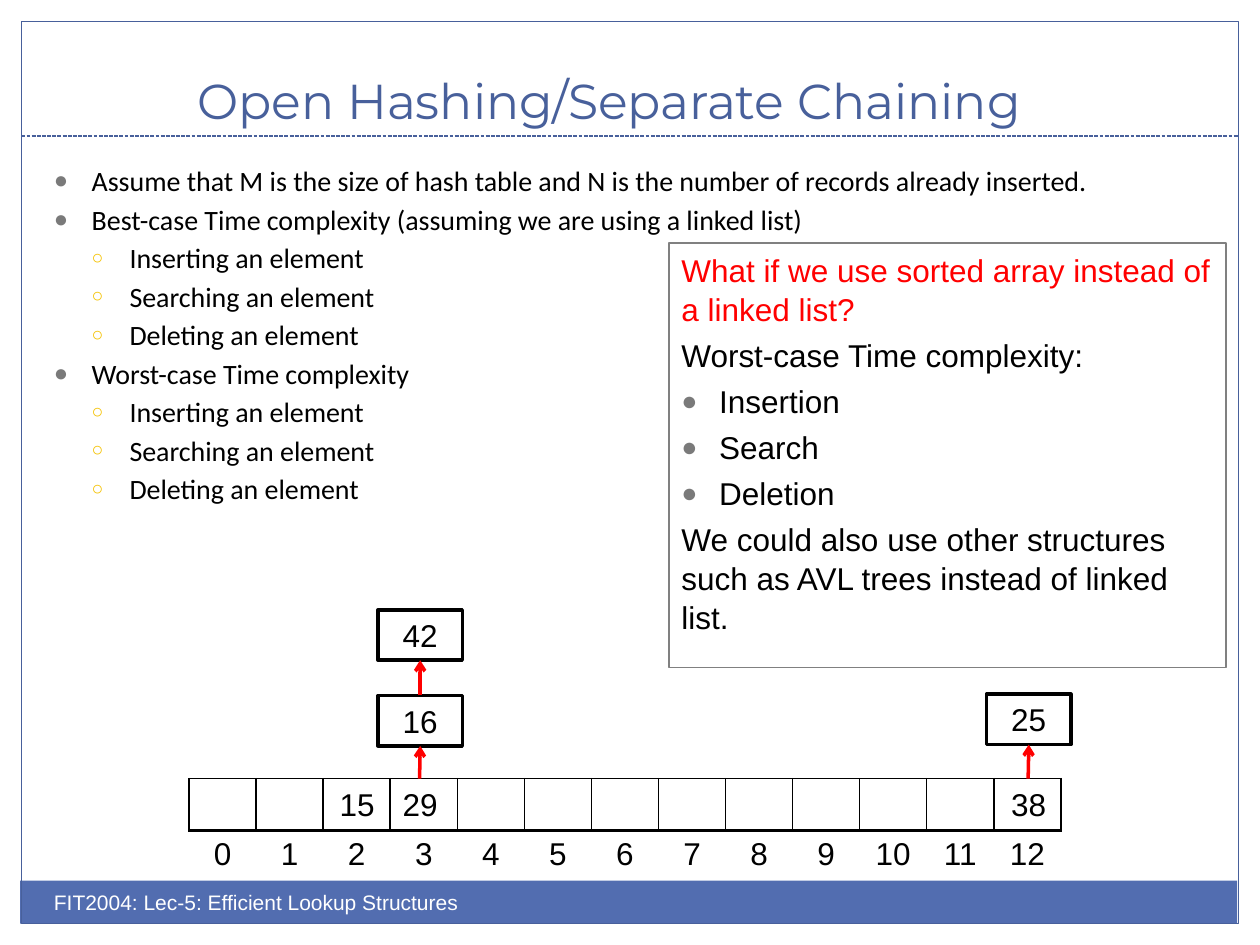
from dataclasses import dataclass
from typing import Any, NamedTuple, Optional

import pptx
import pptx.dml.color
import pptx.enum.dml
import pptx.enum.shapes
import pptx.enum.text
import pptx.oxml
import pptx.oxml.ns
import pptx.util
from lxml import etree

ALIGN = pptx.enum.text.PP_ALIGN
ANCHOR = pptx.enum.text.MSO_ANCHOR
RECTANGLE = pptx.enum.shapes.MSO_SHAPE.RECTANGLE
EMU_PER_PX = 9144


@dataclass(frozen=True)
class Theme:
    accent: str = "48609B"
    footer: str = "526DB0"
    ink: str = "000000"
    paper: str = "FFFFFF"
    alert: str = "FF0000"
    panel_edge: str = "808080"
    dot: str = "7A7A7A"
    ring: str = "F5C201"
    title_size: int = 28
    body_size: int = 16
    label_size: int = 18
    footer_size: int = 12


THEME = Theme()


class Box(NamedTuple):
    left: int
    top: int
    width: int
    height: int


class Bullet(NamedTuple):
    char: str
    color: str
    percent: int
    indent: int
    level: int


class Type(NamedTuple):
    font: str
    size: int
    color: str


class Line(NamedTuple):
    text: str
    style: Type
    bullet: Optional[Bullet] = None


class Entry(NamedTuple):
    value: str
    box: Box


DOT = Bullet("●", THEME.dot, 85, 30, 0)
RING = Bullet("○", THEME.ring, 70, 60, 1)
TITLE = Type("Montserrat", THEME.title_size, THEME.accent)
BODY = Type("Calibri", THEME.body_size, THEME.ink)
LABEL = Type("Arial", THEME.label_size, THEME.ink)
ALERT = LABEL._replace(color=THEME.alert)
FOOTER = Type("Arial", THEME.footer_size, THEME.paper)

CENTERED = {"alignment": ALIGN.CENTER}
SLOTS, SLOT_WIDTH, SLOT_HEIGHT = 13, 53, 41
TABLE_LEFT, TABLE_TOP, TABLE_WIDTH = 150, 618, 692


def px(length: int) -> pptx.util.Emu:
    return pptx.util.Emu(length * EMU_PER_PX)


def rgb(color: str) -> pptx.dml.color.RGBColor:
    return pptx.dml.color.RGBColor.from_string(color)


def apply(target: Any, formats: dict) -> None:
    for name, value in formats.items():
        setattr(target, name, value)


def add_bullet(paragraph: Any, bullet: Bullet) -> None:
    paragraph.level = bullet.level
    properties = paragraph._p.get_or_add_pPr()
    properties.set("marL", str(px(bullet.indent)))
    properties.set("indent", str(px(-30)))
    color = etree.SubElement(properties, pptx.oxml.ns.qn("a:buClr"))
    etree.SubElement(color, pptx.oxml.ns.qn("a:srgbClr"), val=bullet.color)
    etree.SubElement(properties, pptx.oxml.ns.qn("a:buSzPct"), val=str(bullet.percent * 1000))
    etree.SubElement(properties, pptx.oxml.ns.qn("a:buFont"), typeface="Arial")
    etree.SubElement(properties, pptx.oxml.ns.qn("a:buChar"), char=bullet.char)


def write(frame: Any, lines: list[Line], formats: dict, anchor: Any = ANCHOR.TOP) -> None:
    apply(frame, {"word_wrap": True, "vertical_anchor": anchor})
    for index, line in enumerate(lines):
        paragraph = frame.add_paragraph() if index else frame.paragraphs[0]
        apply(paragraph, formats)
        if line.bullet:
            add_bullet(paragraph, line.bullet)
        run = paragraph.add_run()
        run.text = line.text
        apply(run.font, {"name": line.style.font, "size": pptx.util.Pt(line.style.size)})
        run.font.color.rgb = rgb(line.style.color)


def add_text(slide: Any, box: Box, lines: list[Line], formats: dict, anchor: Any = ANCHOR.TOP) -> None:
    write(slide.shapes.add_textbox(*map(px, box)).text_frame, lines, formats, anchor)


def add_rectangle(slide: Any, box: Box, fill: str = "", edge: str = "", weight: float = 0.75) -> Any:
    rectangle = slide.shapes.add_shape(RECTANGLE, *map(px, box))
    rectangle.shadow.inherit = False
    for part, color in ((rectangle.fill, fill), (rectangle.line.fill, edge)):
        if color:
            part.solid()
            part.fore_color.rgb = rgb(color)
        else:
            part.background()
    if edge:
        rectangle.line.width = pptx.util.Pt(weight)
    return rectangle


def add_connector(slide: Any, start: tuple, end: tuple, color: str, weight: float) -> Any:
    connector = slide.shapes.add_connector(
        pptx.enum.shapes.MSO_CONNECTOR.STRAIGHT, *map(px, start + end))
    connector.line.color.rgb = rgb(color)
    connector.line.width = pptx.util.Pt(weight)
    etree.SubElement(connector._element.spPr, pptx.oxml.ns.qn("a:effectLst"))
    return connector


def add_link(slide: Any, x: int, start: int, end: int, source: Any, target: Any) -> None:
    link = add_connector(slide, (x, start), (x, end), THEME.alert, 2)
    if source is not None:
        link.begin_connect(source, 0)
    link.end_connect(target, 2)
    etree.SubElement(link.line._get_or_add_ln(), pptx.oxml.ns.qn("a:tailEnd"), type="arrow")


def set_borders(cell: Any, weights: dict) -> None:
    properties = cell._tc.get_or_add_tcPr()
    for index, side in enumerate(("lnL", "lnR", "lnT", "lnB")):
        weight = weights.get(side, 0)
        border = etree.Element(pptx.oxml.ns.qn(f"a:{side}"), w=str(pptx.util.Pt(weight)))
        if weight:
            fill = etree.SubElement(border, pptx.oxml.ns.qn("a:solidFill"))
            etree.SubElement(fill, pptx.oxml.ns.qn("a:srgbClr"), val=THEME.ink)
        else:
            etree.SubElement(border, pptx.oxml.ns.qn("a:noFill"))
        properties.insert(index, border)


def add_slots(slide: Any, top: int, captions: list[str], weights: dict) -> None:
    box = Box(TABLE_LEFT, top, TABLE_WIDTH, SLOT_HEIGHT)
    table = slide.shapes.add_table(1, SLOTS, *map(px, box)).table
    apply(table, {"first_row": False, "horz_banding": False})
    for column, cell in zip(table.columns, table.iter_cells()):
        column.width = px(TABLE_WIDTH) // SLOTS
        cell.fill.background()
        set_borders(cell, weights)
    for cell, caption in zip(table.iter_cells(), captions):
        write(cell.text_frame, [Line(caption, LABEL)], CENTERED)


def main() -> None:
    deck = pptx.Presentation()
    apply(deck, {"slide_width": px(1000), "slide_height": px(750)})
    slide = deck.slides.add_slide(deck.slide_layouts[6])

    add_rectangle(slide, Box(16, 699, 966, 34), fill=THEME.footer)
    add_rectangle(slide, Box(17, 17, 966, 716), edge=THEME.accent)
    divider = add_connector(slide, (17, 108), (983, 108), THEME.accent, 0.75)
    divider.line.dash_style = pptx.enum.dml.MSO_LINE.SQUARE_DOT
    add_text(slide, Box(-8, 25, 983, 83), [Line("Open Hashing/Separate Chaining", TITLE)],
             CENTERED, ANCHOR.BOTTOM)

    operations = [Line(f"{action} an element", BODY, RING)
                  for action in ("Inserting", "Searching", "Deleting")]
    complexity = [
        Line("Assume that M is the size of hash table and N is the number of records already inserted.", BODY, DOT),
        Line("Best-case Time complexity (assuming we are using a linked list)", BODY, DOT),
        *operations, Line("Worst-case Time complexity", BODY, DOT), *operations]
    add_text(slide, Box(33, 125, 950, 409), complexity, {"space_before": pptx.util.Pt(2.8)})
    add_text(slide, Box(33, 701, 500, 40), [Line("FIT2004: Lec-5: Efficient Lookup Structures", FOOTER)], {})

    add_slots(slide, TABLE_TOP, [], {"lnL": 1, "lnR": 1, "lnT": 1, "lnB": 2})
    add_slots(slide, TABLE_TOP + SLOT_HEIGHT, [str(slot) for slot in range(SLOTS)], {})

    for value, left in (("15", 250), ("29", 300), ("38", 783)):
        add_text(slide, Box(left, TABLE_TOP, 67, 40), [Line(value, LABEL)], CENTERED, ANCHOR.MIDDLE)

    chains = ([Entry("16", Box(300, 552, 67, 40)), Entry("42", Box(300, 484, 67, 40))],
              [Entry("25", Box(783, 551, 67, 40))])
    for chain in chains:
        previous, start = None, TABLE_TOP
        for value, box in chain:
            node = add_rectangle(slide, box, edge=THEME.ink, weight=2)
            write(node.text_frame, [Line(value, LABEL)], CENTERED, ANCHOR.MIDDLE)
            add_link(slide, box.left + box.width // 2, start, box.top + box.height, previous, node)
            previous, start = node, box.top

    alternative = [
        Line("What if we use sorted array instead of a linked list?", ALERT),
        Line("Worst-case Time complexity:", LABEL),
        *(Line(action, LABEL, DOT) for action in ("Insertion", "Search", "Deletion")),
        Line("We could also use other structures such as AVL trees instead of linked list.", LABEL)]
    panel = add_rectangle(slide, Box(531, 193, 442, 337), edge=THEME.panel_edge)
    write(panel.text_frame, alternative,
          {"alignment": ALIGN.LEFT, "line_spacing": 1.04, "space_before": pptx.util.Pt(3.8)})

    deck.save("out.pptx")


if __name__ == "__main__":
    main()
